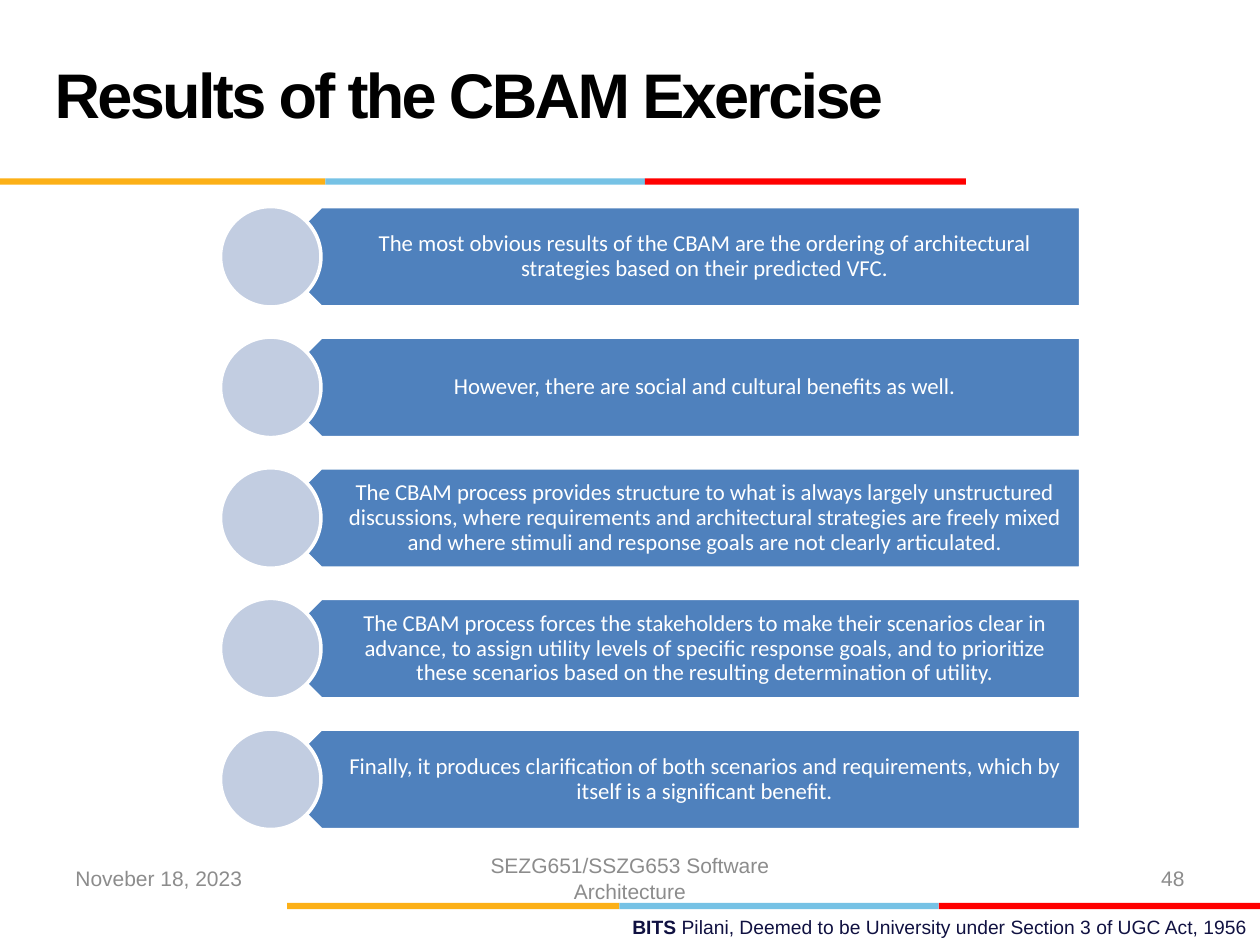
"""Build the slide on the results of the CBAM exercise."""
from dataclasses import dataclass

from pptx import Presentation
from pptx.dml.color import RGBColor as Color
from pptx.enum.shapes import MSO_SHAPE as Preset
from pptx.enum.text import MSO_ANCHOR as Anchor, MSO_AUTO_SIZE as AutoSize, PP_ALIGN as Align
from pptx.util import Pt


@dataclass(frozen=True)
class Theme:
    """Hold the fonts, type sizes and colours of the slide."""
    heading_font: str = "Arial"
    diagram_font: str = "Calibri"
    title_size: float = 36
    result_size: float = 13
    footer_size: float = 12
    credit_size: float = 11
    black: str = "000000"
    white: str = "FFFFFF"
    grey: str = "8C8C8C"
    navy: str = "101141"
    bar: str = "4F81BD"
    disc: str = "C2CDE1"
    stripes: tuple = ("FCB017", "76C2E5", "FF0000")


def apply_format(target, values):
    """Set each named attribute of the target."""
    for name, value in values.items():
        setattr(target, name, value)


class SlideBuilder:
    """Draw each kind of element on the current slide in one style."""

    def __init__(self, slide, theme):
        """Keep the slide and its theme."""
        self.slide = slide
        self.theme = theme

    def format_frame(self, frame, margins=(7.2, 3.6, 7.2, 3.6)):
        """Wrap and centre a text frame vertically."""
        sides = ("margin_left", "margin_top", "margin_right", "margin_bottom")
        apply_format(frame, {"word_wrap": True, "auto_size": AutoSize.NONE,
                             "vertical_anchor": Anchor.MIDDLE,
                             **{side: Pt(margin) for side, margin in zip(sides, margins)}})

    def add_run(self, paragraph, text, size, color, font, bold=False):
        """Append a formatted run and return it."""
        run = paragraph.add_run()
        run.text = text
        apply_format(run.font, {"name": font, "size": Pt(size), "bold": bold})
        run.font.color.rgb = Color.from_string(color)
        return run

    def add_title(self, text, box):
        """Fill the title placeholder with tightly spaced letters."""
        title = self.slide.shapes.title
        apply_format(title, dict(zip(("left", "top", "width", "height"), map(Pt, box))))
        self.format_frame(title.text_frame)
        paragraph = title.text_frame.paragraphs[0]
        apply_format(paragraph, {"alignment": Align.LEFT, "line_spacing": Pt(36)})
        run = self.add_run(paragraph, text, self.theme.title_size, self.theme.black,
                           self.theme.heading_font, True)
        run.font._element.set("spc", "-150")

    def add_text(self, box, runs, size, color, font, alignment, line_spacing=1.0, **frame_format):
        """Add a one-paragraph text box from (text, bold) runs."""
        frame = self.slide.shapes.add_textbox(*map(Pt, box)).text_frame
        self.format_frame(frame, **frame_format)
        paragraph = frame.paragraphs[0]
        apply_format(paragraph, {"alignment": alignment, "line_spacing": line_spacing})
        for text, bold in runs:
            self.add_run(paragraph, text, size, color, font, bold)

    def add_shape(self, preset, box, fill, outline=None, rotation=0):
        """Add a filled preset shape, outlined on request."""
        shape = self.slide.shapes.add_shape(preset, *map(Pt, box))
        shape.rotation = rotation
        shape.shadow.inherit = False
        shape.fill.solid()
        shape.fill.fore_color.rgb = Color.from_string(fill)
        if outline:
            shape.line.color.rgb = Color.from_string(outline)
            shape.line.width = Pt(2)
        else:
            shape.line.fill.background()

    def add_stripes(self, edges, top):
        """Add a three-colour rule between consecutive edges."""
        for left, right, color in zip(edges, edges[1:], self.theme.stripes):
            self.add_shape(Preset.RECTANGLE, (left, top, right - left, 3.6), color)

    def add_result(self, text, top, height):
        """Add one result: a pointed bar, its text and a disc."""
        theme = self.theme
        self.add_shape(Preset.PENTAGON, (154.8, top, 462.7, height), theme.bar, theme.white, 180)
        self.add_text((169.2, top, 448.3, height), [(text, False)], theme.result_size, theme.white,
                      theme.diagram_font, Align.CENTER, 0.9, margins=(25.2, 3.6, 7.2, 3.6))
        self.add_shape(Preset.OVAL, (126, top, height, height), theme.disc, theme.white)

    def add_footer(self, text, left, width, alignment):
        """Add one grey footer field."""
        self.add_text((left, 487.4, width, 28.8), [(text, False)], self.theme.footer_size,
                      self.theme.grey, self.theme.heading_font, alignment)


RESULTS = (
    "The most obvious results of the CBAM are the ordering of architectural strategies "
    "based on their predicted VFC.",
    "However, there are social and cultural benefits as well.",
    "The CBAM process provides structure to what is always largely unstructured discussions, "
    "where requirements and architectural strategies are freely mixed and where stimuli and "
    "response goals are not clearly articulated.",
    "The CBAM process forces the stakeholders to make their scenarios clear in advance, to assign "
    "utility levels of specific response goals, and to prioritize these scenarios based on the "
    "resulting determination of utility.",
    "Finally, it produces clarification of both scenarios and requirements, which by itself is a "
    "significant benefit.",
)
FOOTERS = (
    ("Noveber 18, 2023", 36, 168, Align.LEFT),
    ("SEZG651/SSZG653 Software Architecture", 246, 228, Align.CENTER),
    ("48", 516, 168, Align.RIGHT),
)
CREDIT = (
    ("BITS ", True),
    ("Pilani, Deemed to be University under Section 3 of UGC Act, 1956", False),
)


def main():
    """Build and save the presentation."""
    presentation = Presentation()
    apply_format(presentation, {"slide_width": Pt(720), "slide_height": Pt(540)})
    theme = Theme()
    slide = presentation.slides.add_slide(presentation.slide_layouts[5])
    builder = SlideBuilder(slide, theme)

    builder.add_text((257.8, 519.3, 462.2, 20.6), CREDIT, theme.credit_size, theme.navy,
                     theme.heading_font, Align.RIGHT)
    builder.add_stripes((164, 354, 536.5, 720), 516)
    builder.add_stripes((0, 186, 368.5, 552), 102)
    for index, text in enumerate(RESULTS):
        builder.add_result(text, 118 + 74.65 * index, 57.4)
    builder.add_title("Results of the CBAM Exercise", (24, 12, 498, 90))
    for footer in FOOTERS:
        builder.add_footer(*footer)

    presentation.save("out.pptx")


if __name__ == "__main__":
    main()
